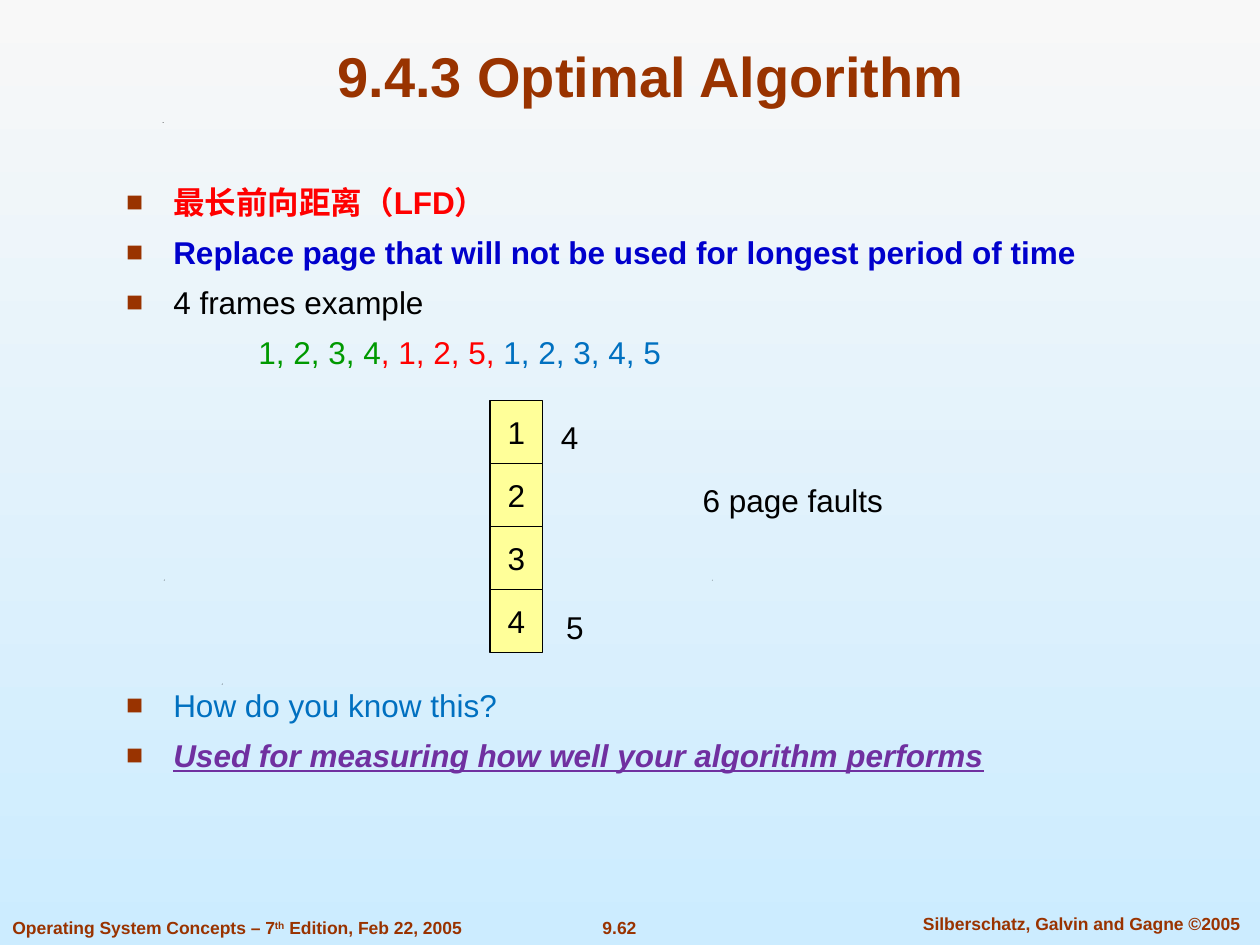
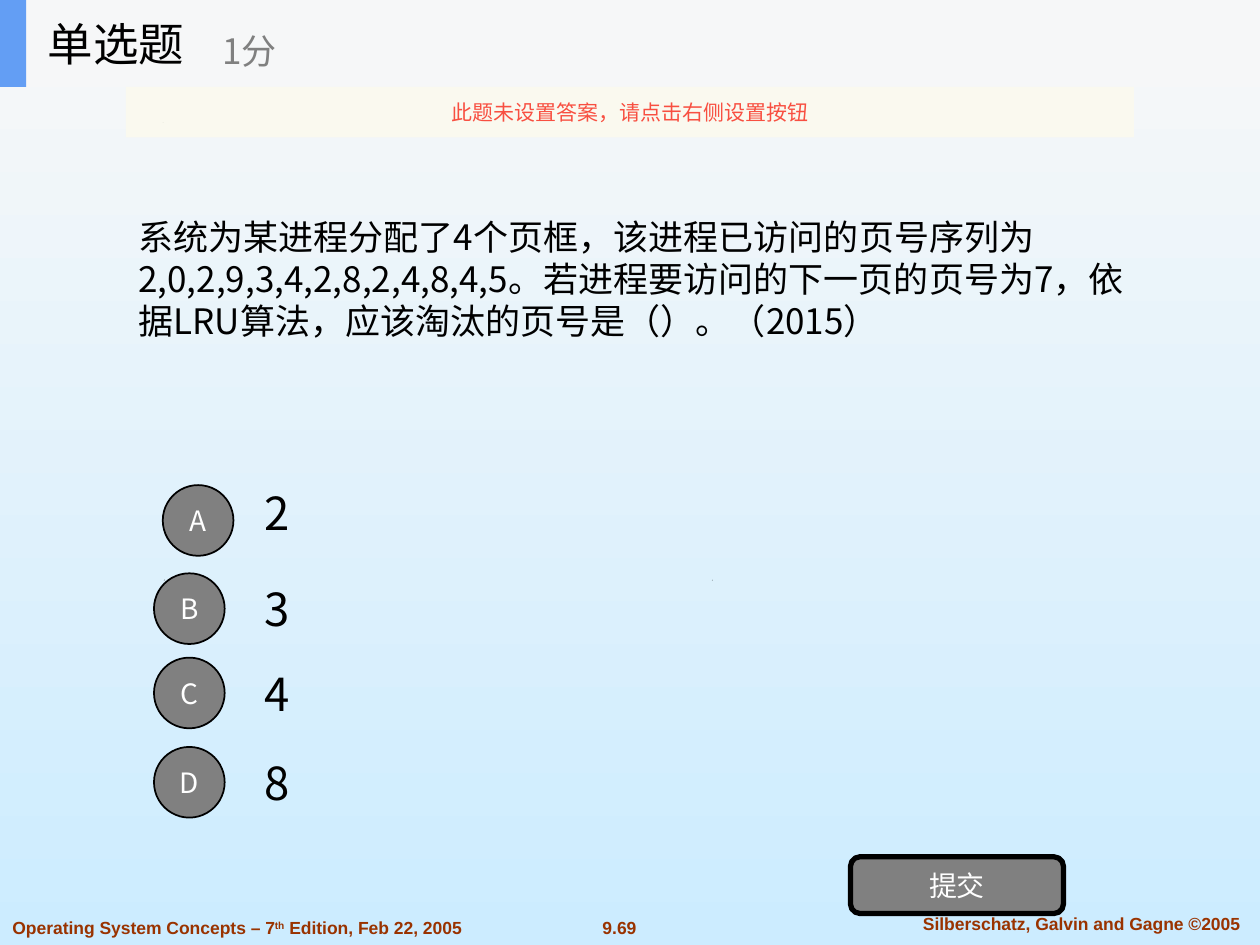
import pptx
import pptx.util
import pptx.dml.color
import pptx.enum.shapes
import pptx.enum.text
import pptx.oxml.ns
from lxml import etree

Pt = pptx.util.Pt
RGB = pptx.dml.color.RGBColor
KIND = pptx.enum.shapes.MSO_SHAPE
ALIGN = pptx.enum.text.PP_ALIGN
ANCHOR = pptx.enum.text.MSO_ANCHOR
FIT = pptx.enum.text.MSO_AUTO_SIZE
qn = pptx.oxml.ns.qn

# Shared colours and fonts
RUST = RGB(0x99, 0x33, 0x00)
BLACK = RGB(0, 0, 0)
WHITE = RGB(0xFF, 0xFF, 0xFF)
GREY = RGB(0x80, 0x80, 0x80)
RED = RGB(0xFF, 0, 0)
NAVY = RGB(0, 0, 0xCC)
GREEN = RGB(0, 0x99, 0)
BLUE = RGB(0, 0x70, 0xC0)
PURPLE = RGB(0x70, 0x30, 0xA0)
YELLOW = RGB(0xFF, 0xFF, 0x99)
PALE = RGB(0xF6, 0xF7, 0xF8)
SKY = RGB(0x63, 0x9E, 0xF4)
CREAM = RGB(0xFB, 0xFA, 0xEF)
CORAL = RGB(0xF8, 0x4F, 0x41)
TOP = RGB(0xF8, 0xF8, 0xF8)
BASE = RGB(0xCC, 0xEC, 0xFF)
LATIN = "Arial"
HAN = "Noto Sans CJK SC"

BODY = (64.8, 100.8, 579, 352.8)
FOOT = (0, 518.4, 720, 21.6)


# Text and shape helpers
def style(para, size, color, face=LATIN, bold=False):
    font = para.font
    font.name, font.size, font.bold = face, Pt(size), bold
    if color is not None:
        font.color.rgb = color
    if face == HAN:
        props = para._p.pPr.find(qn("a:defRPr"))
        etree.SubElement(props, qn("a:ea")).set("typeface", face)


def write(shape, text, size, color, face=LATIN, bold=False,
          align=ALIGN.LEFT, anchor=ANCHOR.MIDDLE):
    frame = shape.text_frame
    frame.word_wrap = True
    frame.auto_size = FIT.NONE
    frame.vertical_anchor = anchor
    if align == ALIGN.CENTER:
        frame.margin_left = frame.margin_right = 0
    para = frame.paragraphs[0]
    for part in [text] if isinstance(text, str) else text:
        para.add_run().text = part
    para.alignment = align
    style(para, size, color, face, bold)
    return para


def label(slide, box, text, size, color, **look):
    shape = slide.shapes.add_textbox(*map(Pt, box))
    return write(shape, text, size, color, **look)


def block(slide, kind, box, fill, line=0):
    shape = slide.shapes.add_shape(kind, *map(Pt, box))
    shape.shadow.inherit = False
    shape.fill.solid()
    shape.fill.fore_color.rgb = fill
    if line:
        shape.line.color.rgb = BLACK
        shape.line.width = Pt(line)
    else:
        shape.line.fill.background()
    return shape


def place(shape, box):
    shape.left, shape.top, shape.width, shape.height = map(Pt, box)


# Parts on every slide
def backdrop(deck):
    fill = deck.slide_master.background.fill
    fill.gradient()
    fill.gradient_angle = 270
    for stop, color, spot in zip(fill.gradient_stops, (TOP, BASE), (0, 1)):
        stop.color.rgb = color
        stop.position = spot


def footer(slide, box, number):
    x, y, w, h = box
    look = dict(bold=True, anchor=ANCHOR.TOP)
    label(slide, (x + 336, y + 2, 36, h), number, 10, RUST,
          align=ALIGN.CENTER, **look)
    label(slide, (x + 511, y, 214, h), "Silberschatz, Galvin and Gagne ©2005",
          10, RUST, align=ALIGN.CENTER, **look)
    book = label(slide, (x, y + 2, 290, h),
                 ["Operating System Concepts – 7", "th", " Edition, Feb 22, 2005"],
                 10, RUST, **look)
    book.runs[1]._r.get_or_add_rPr().set("baseline", "30000")


def specks(slide):
    for x, y in ((126.7, 390.6), (93.6, 331.2), (406.8, 331.2), (92.9, 69.8)):
        path = slide.shapes.build_freeform(Pt(x), Pt(y + 0.5))
        path.add_line_segments([(Pt(x + 0.5), Pt(y)), (Pt(x + 0.5), Pt(y + 0.5))])
        dot = path.convert_to_shape()
        dot.shadow.inherit = False
        dot.fill.solid()
        dot.fill.fore_color.rgb = BLACK
        dot.line.fill.background()


def start(deck, layout, number):
    slide = deck.slides.add_slide(deck.slide_layouts[layout])
    specks(slide)
    footer(slide, FOOT, number)
    return slide


# Optimal algorithm slide
def bullet(para, marked):
    props = para._p.get_or_add_pPr()
    props.set("marL", str(Pt(27 if marked else 75.6)))
    props.set("indent", str(Pt(-27 if marked else 0)))
    if not marked:
        etree.SubElement(props, qn("a:buNone"))
        return
    tint = etree.SubElement(props, qn("a:buClr"))
    etree.SubElement(tint, qn("a:srgbClr")).set("val", str(RUST))
    etree.SubElement(props, qn("a:buSzPct")).set("val", "90000")
    etree.SubElement(props, qn("a:buFont")).set("typeface", LATIN)
    etree.SubElement(props, qn("a:buChar")).set("char", "■")


def points(shape, box):
    place(shape, box)
    frame = shape.text_frame
    frame.auto_size = FIT.NONE
    # parts with colours, bold, bullet, space before
    rows = [
        ([("最长前向距离（LFD）", RED)], True, True, 0),
        ([("Replace page that will not be used for longest period of time",
           NAVY)], True, True, 7),
        ([("4 frames example", BLACK)], False, True, 7),
        ([("1, 2, 3, 4", GREEN), (", 1, 2, 5, ", RED),
          ("1, 2, 3, 4, 5", BLUE)], False, False, 7),
        ([("How do you know this?", BLUE)], False, True, 180),
        ([("Used for measuring how well your algorithm performs", PURPLE)],
         True, True, 7),
    ]
    for i, (parts, bold, marked, gap) in enumerate(rows):
        para = frame.paragraphs[0] if i == 0 else frame.add_paragraph()
        para.space_before = Pt(gap)
        bullet(para, marked)
        style(para, 18, parts[0][1] if len(parts) == 1 else None, bold=bold)
        for text, color in parts:
            run = para.add_run()
            run.text = text
            if len(parts) > 1:
                run.font.color.rgb = color
    para.font.italic = para.font.underline = True


def frames(slide, box):
    x, y, w, h = box
    step = h / 4
    for i in range(4):
        cell = block(slide, KIND.RECTANGLE, (x, y + i * step, w, step), YELLOW, 0.75)
        write(cell, str(i + 1), 18, BLACK, align=ALIGN.CENTER)
    notes = [("4", 33, 6, 25), ("6 page faults", 93, 42, 160), ("5", 36, 114.5, 25)]
    for text, dx, dy, wide in notes:
        label(slide, (x + dx, y + dy, wide, 29), text, 18, BLACK,
              align=ALIGN.CENTER)


def optimal(deck):
    slide = start(deck, 1, "9.62")
    title = slide.shapes.title
    place(title, (54, 18, 636, 48))
    write(title, "9.4.3 Optimal Algorithm", 32, RUST, bold=True,
          align=ALIGN.CENTER, anchor=ANCHOR.BOTTOM)
    points(slide.placeholders[1], BODY)
    frames(slide, (280, 229, 30.2, 144))


# Quiz slide
def header(slide, box):
    x, y, w, h = box
    block(slide, KIND.RECTANGLE, box, PALE)
    block(slide, KIND.RECTANGLE, (x, y, 15, h), SKY)
    title = slide.shapes.title
    place(title, (x + 20, y, 150, h))
    write(title, "单选题", 26, BLACK, face=HAN)
    # bring the title in front of the band
    title.element.getparent().append(title.element)
    label(slide, (x + 120, y + 9, 180, 40), "1分", 20, GREY, face=HAN)


def banner(slide, box):
    band = block(slide, KIND.RECTANGLE, box, CREAM)
    tint = next(band.element.iter(qn("a:srgbClr")))
    etree.SubElement(tint, qn("a:alpha")).set("val", "90000")
    write(band, "此题未设置答案，请点击右侧设置按钮", 12, CORAL, face=HAN,
          align=ALIGN.CENTER)


def choices(slide, box):
    x, y, w, h = box
    # letter, answer, disc left, disc top, answer top
    rows = [("A", "2", 5, 9.4, 0), ("B", "3", 0, 59.8, 54.8),
            ("C", "4", 0, 108, 103), ("D", "8", 0, 159, 154)]
    for letter, text, dx, disc, top in rows:
        label(slide, (x + 56, y + top, w - 56, 50.4), text, 26, BLACK, face=HAN)
        knob = block(slide, KIND.OVAL, (x + dx, y + disc, 40.4, 40.4), GREY, 1)
        write(knob, letter, 16, WHITE, face=HAN, align=ALIGN.CENTER)


def quiz(deck):
    slide = start(deck, 5, "9.69")
    label(slide, (72, 75, 595.4, 168.5),
          "系统为某进程分配了4个页框，该进程已访问的页号序列为"
          "2,0,2,9,3,4,2,8,2,4,8,4,5。若进程要访问的下一页的页号为7，"
          "依据LRU算法，应该淘汰的页号是（）。（2015）", 20, BLACK, face=HAN)
    choices(slide, (88, 267.8, 560, 204.5))
    send = block(slide, KIND.ROUNDED_RECTANGLE, (486, 489.6, 121.7, 32.4), GREY, 3)
    write(send, "提交", 16, WHITE, face=HAN, align=ALIGN.CENTER)
    header(slide, (0, 0, 720, 49.7))
    banner(slide, (72, 49.7, 576, 28.8))


def main():
    deck = pptx.Presentation()
    deck.slide_width, deck.slide_height = Pt(720), Pt(540)
    backdrop(deck)
    optimal(deck)
    quiz(deck)
    deck.save("out.pptx")


if __name__ == "__main__":
    main()
